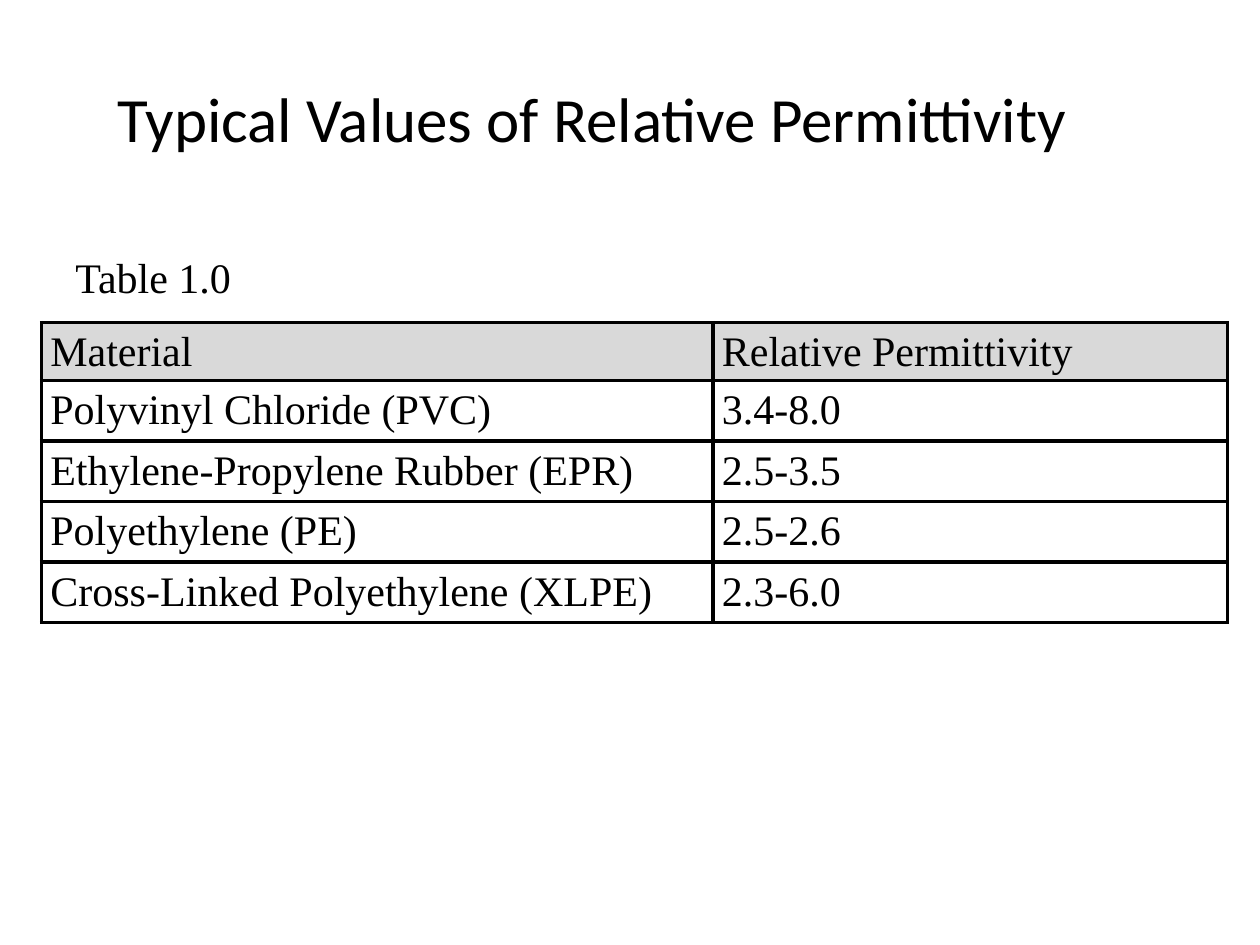
from typing import NamedTuple

import lxml.etree
import pptx
import pptx.dml.color
import pptx.enum.text
import pptx.oxml.ns
import pptx.util

Inches = pptx.util.Inches
Pt = pptx.util.Pt
ALIGN = pptx.enum.text.PP_ALIGN

BLACK = "000000"
HEADER_FILL = "D9D9D9"
BODY_FONT = {"name": "Times New Roman", "size": Pt(24)}
TITLE_FONT = {"name": "Calibri", "size": Pt(36)}
CELL_FORMAT = {
    "margin_left": Inches(0.07),
    "margin_right": Inches(0.07),
    "margin_top": 0,
    "margin_bottom": 0,
}
BORDER_WIDTH = Pt(2.25)
COLUMN_WIDTHS = (5.33, 4.08)
HEADER_HEIGHT, ROW_HEIGHT = 0.46, 0.48


class Label(NamedTuple):
    text: str
    left: float
    top: float
    width: float
    height: float
    font: dict
    align: ALIGN


class Material(NamedTuple):
    name: str
    permittivity: str


LABELS = (
    Label("Typical Values of Relative Permittivity", -0.3, 0.58, 10, 0.71,
          TITLE_FONT, ALIGN.CENTER),
    Label("Table 1.0", 0.5, 1.95, 3, 0.5, BODY_FONT, ALIGN.LEFT),
)
ROWS = (
    Material("Material", "Relative Permittivity"),
    Material("Polyvinyl Chloride (PVC)", "3.4-8.0"),
    Material("Ethylene-Propylene Rubber (EPR)", "2.5-3.5"),
    Material("Polyethylene (PE)", "2.5-2.6"),
    Material("Cross-Linked Polyethylene (XLPE)", "2.3-6.0"),
)


def color(value: str) -> pptx.dml.color.RGBColor:
    return pptx.dml.color.RGBColor.from_string(value)


def apply_format(target, values: dict) -> None:
    for attribute, value in values.items():
        setattr(target, attribute, value)


def write(paragraph, text: str, font: dict) -> None:
    run = paragraph.add_run()
    run.text = text
    apply_format(run.font, font)
    run.font.color.rgb = color(BLACK)


def add_label(slide, label: Label) -> None:
    box = slide.shapes.add_textbox(
        Inches(label.left), Inches(label.top),
        Inches(label.width), Inches(label.height))
    box.text_frame.word_wrap = True
    paragraph = box.text_frame.paragraphs[0]
    paragraph.alignment = label.align
    write(paragraph, label.text, label.font)


def add_borders(cell) -> None:
    """Outline all four sides; borders must precede the fill in the XML."""
    qn = pptx.oxml.ns.qn
    properties = cell._tc.get_or_add_tcPr()
    for position, side in enumerate(("lnL", "lnR", "lnT", "lnB")):
        line = lxml.etree.Element(qn(f"a:{side}"), w=str(BORDER_WIDTH))
        fill = lxml.etree.SubElement(line, qn("a:solidFill"))
        lxml.etree.SubElement(fill, qn("a:srgbClr"), val=BLACK)
        properties.insert(position, line)


def fill_cell(cell, text: str, is_header: bool) -> None:
    apply_format(cell, CELL_FORMAT)
    paragraph = cell.text_frame.paragraphs[0]
    paragraph.line_spacing = 1.15
    write(paragraph, text, BODY_FONT)
    if is_header:
        cell.fill.solid()
        cell.fill.fore_color.rgb = color(HEADER_FILL)
    else:
        cell.fill.background()
    add_borders(cell)


def add_permittivity_table(slide) -> None:
    heights = [HEADER_HEIGHT] + [ROW_HEIGHT] * (len(ROWS) - 1)
    table = slide.shapes.add_table(
        len(ROWS), len(COLUMN_WIDTHS), Inches(0.33), Inches(2.56),
        Inches(sum(COLUMN_WIDTHS)), Inches(sum(heights))).table
    table.horz_banding = False
    for column, width in zip(table.columns, COLUMN_WIDTHS):
        column.width = Inches(width)
    for index, (row, height, material) in enumerate(
            zip(table.rows, heights, ROWS)):
        row.height = Inches(height)
        for cell, text in zip(row.cells, material):
            fill_cell(cell, text, is_header=index == 0)
    table.first_row = False


def main() -> None:
    presentation = pptx.Presentation()
    presentation.slide_width = Inches(10)
    presentation.slide_height = Inches(7.5)
    slide = presentation.slides.add_slide(presentation.slide_layouts[6])
    for label in LABELS:
        add_label(slide, label)
    add_permittivity_table(slide)
    presentation.save("out.pptx")


if __name__ == "__main__":
    main()
